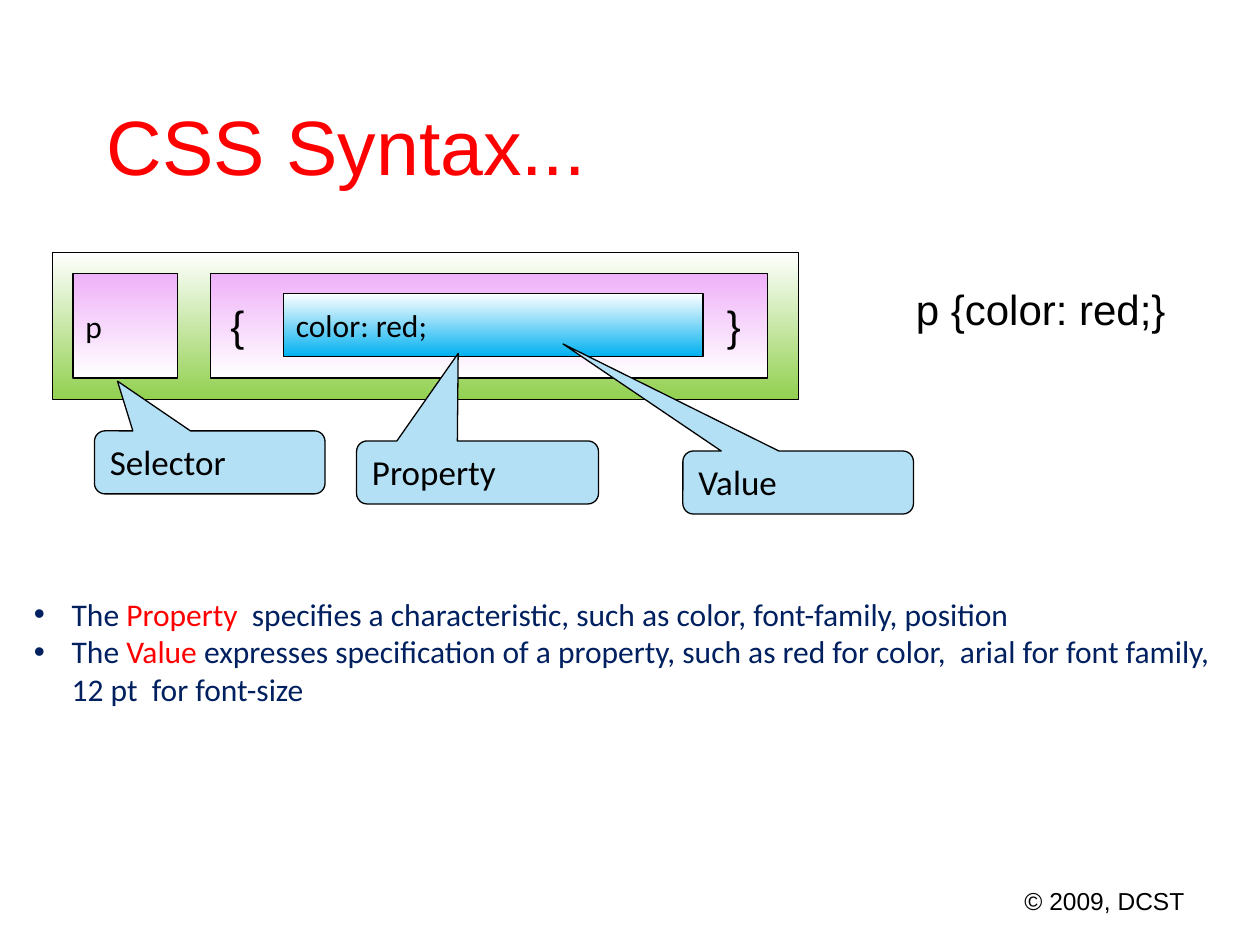
"""Builds a slide that explains the parts of a CSS rule."""
import pptx
import pptx.dml.color
import pptx.enum.shapes
import pptx.enum.text
import pptx.oxml.ns
import pptx.util
from lxml import etree

Inches = pptx.util.Inches
Pt = pptx.util.Pt
Shape = pptx.enum.shapes.MSO_SHAPE
Anchor = pptx.enum.text.MSO_ANCHOR
Align = pptx.enum.text.PP_ALIGN

BLACK, RED, NAVY, WHITE = "000000", "FF0000", "002060", "FFFFFF"
GREEN, PINK, BLUE, PALE_BLUE = "92D050", "EFB1F9", "00B0F0", "B4E0F6"


def rgb(value):
    return pptx.dml.color.RGBColor.from_string(value)


def apply(target, values):
    for name, value in values.items():
        setattr(target, name, value)


class RuleSlide:
    def __init__(self, presentation):
        self.slide = presentation.slides.add_slide(presentation.slide_layouts[6])
        self.heading_font = "Arial"
        self.body_font = "Calibri"

    def add_text(self, shape, paragraphs, size, font, frame=None, layout=None):
        text = shape.text_frame
        apply(text, {"word_wrap": True, "vertical_anchor": Anchor.TOP, **(frame or {})})
        for index, runs in enumerate(paragraphs):
            paragraph = text.paragraphs[0] if index == 0 else text.add_paragraph()
            apply(paragraph, {"alignment": Align.LEFT, **(layout or {})})
            for words, color in runs:
                run = paragraph.add_run()
                run.text = words
                apply(run.font, {"size": Pt(size), "name": font})
                run.font.color.rgb = rgb(color)
        return text

    def label(self, words, place, size, color=BLACK, frame=None, layout=None):
        box = self.slide.shapes.add_textbox(*map(Inches, place))
        self.add_text(box, [[(words, color)]], size, self.heading_font, frame, layout)

    def outlined(self, kind, place, width=0.75):
        shape = self.slide.shapes.add_shape(kind, *map(Inches, place))
        shape.shadow.inherit = False
        shape.line.color.rgb = rgb(BLACK)
        shape.line.width = Pt(width)
        return shape

    def block(self, place, top_color, bottom_color, words=None, width=0.75):
        shape = self.outlined(Shape.RECTANGLE, place, width)
        shape.fill.gradient()
        shape.fill.gradient_angle = 270
        for stop, color in zip(shape.fill.gradient_stops, (top_color, bottom_color)):
            stop.color.rgb = rgb(color)
        if words:
            self.add_text(shape, [[(words, BLACK)]], 18, self.body_font,
                          {"word_wrap": False, "vertical_anchor": Anchor.MIDDLE})

    def callout(self, words, place, tip):
        shape = self.outlined(Shape.ROUNDED_RECTANGULAR_CALLOUT, place)
        shape.fill.solid()
        shape.fill.fore_color.rgb = rgb(PALE_BLUE)
        for index, value in enumerate(tip):
            shape.adjustments[index] = value
        self.add_text(shape, [[(words, BLACK)]], 20, self.body_font)

    def bullets(self, paragraphs, place):
        box = self.slide.shapes.add_textbox(*map(Inches, place))
        text = self.add_text(box, paragraphs, 18, self.body_font)
        for paragraph in text.paragraphs:
            properties = paragraph._p.get_or_add_pPr()
            properties.set("marL", str(Inches(0.3)))
            properties.set("indent", str(Inches(-0.3)))
            for tag, key, value in (("a:buFont", "typeface", "Arial"), ("a:buChar", "char", "•")):
                etree.SubElement(properties, pptx.oxml.ns.qn(tag)).set(key, value)


def main():
    presentation = pptx.Presentation()
    apply(presentation, {"slide_width": Inches(10), "slide_height": Inches(7.5)})
    page = RuleSlide(presentation)

    page.label("© 2009, DCST", (7.17, 6.95, 2.33, 0.4), 14,
               frame={"vertical_anchor": Anchor.MIDDLE}, layout={"alignment": Align.RIGHT})
    page.label("CSS Syntax...", (0.75, 0.67, 8.42, 0.83), 44, RED,
               frame={"margin_top": Inches(0.11)})

    page.block((0.42, 2, 5.92, 1.17), WHITE, GREEN, width=0.5)
    page.block((0.58, 2.17, 0.83, 0.83), PINK, WHITE, "p")
    page.block((1.67, 2.17, 4.42, 0.83), PINK, WHITE)
    page.block((2.25, 2.33, 3.33, 0.5), WHITE, BLUE, "color: red;")
    for brace, left in (("{", 1.73), ("}", 5.67)):
        page.label(brace, (left, 2.33, 0.42, 0.5), 24)

    page.callout("Property", (2.83, 3.5, 1.92, 0.5), (-0.08, -1.89))
    page.callout("Selector", (0.75, 3.42, 1.83, 0.5), (-0.4, -1.29))
    page.bullets([
        [("The ", NAVY), ("Property", RED),
         ("  specifies a characteristic, such as color, font-family, position", NAVY)],
        [("The ", NAVY), ("Value", RED),
         (" expresses specification of a property, such as red for color,"
          "  arial for font family, 12 pt  for font-size", NAVY)],
    ], (0.17, 4.67, 9.58, 2.16))
    page.callout("Value", (5.42, 3.58, 1.83, 0.5), (-1.02, -2.2))
    page.label("p {color: red;}", (7.17, 2.25, 2.58, 0.46), 24,
               layout={"line_spacing": 0.9})

    presentation.save("out.pptx")


if __name__ == "__main__":
    main()
